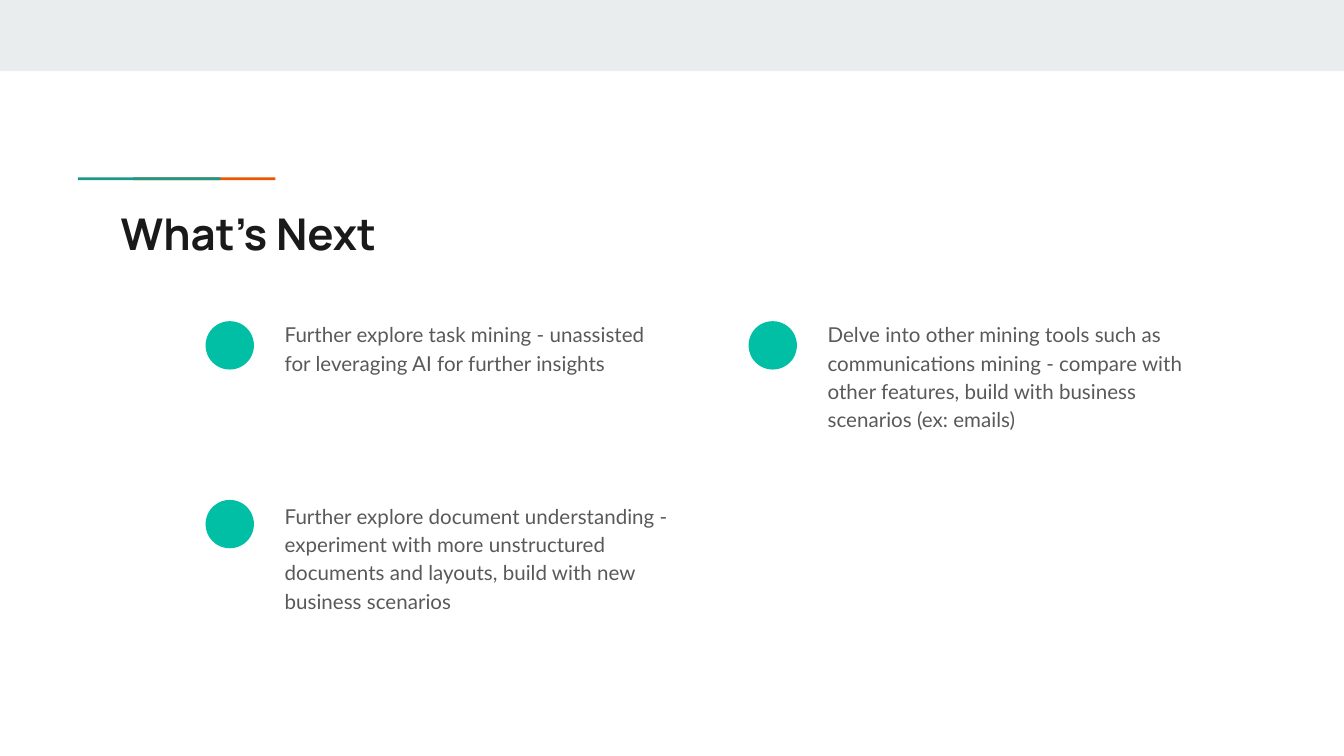
from pptx import Presentation
from pptx.dml.color import RGBColor
from pptx.enum.shapes import MSO_SHAPE as Shape
from pptx.enum.text import MSO_ANCHOR as Anchor
from pptx.util import Inches, Pt

TITLE = "What’s Next"
STEPS = [
    (0, 0, "Further explore task mining - unassisted for leveraging AI for further insights"),
    (0, 1, "Further explore document understanding - experiment with more unstructured "
           "documents and layouts, build with new business scenarios"),
    (1, 0, "Delve into other mining tools such as communications mining - compare with "
           "other features, build with business scenarios (ex: emails)"),
]

BAND = RGBColor(0xE9, 0xED, 0xEE)
ORANGE = RGBColor(0xEB, 0x56, 0x00)
GREEN = RGBColor(0x1A, 0x99, 0x88)
TEAL = RGBColor(0x00, 0xBF, 0xA5)
DARK = RGBColor(0x1A, 0x1A, 0x1A)
GRAY = RGBColor(0x59, 0x59, 0x59)

COLUMN_STEP = 4.04
DOT_LEFT, DOT_TOP, DOT_SIZE, DOT_ROW_STEP = 1.53, 2.39, 0.36, 1.33
TEXT_LEFT, TEXT_TOP, TEXT_ROW_STEP = 2.02, 2.27, 1.35


def add_filled(slide, kind, left, top, width, height, color):
    shape = slide.shapes.add_shape(kind, Inches(left), Inches(top), Inches(width), Inches(height))
    shape.shadow.inherit = False
    shape.fill.solid()
    shape.fill.fore_color.rgb = color
    shape.line.fill.background()


def add_text(slide, left, top, width, height, text, font, size, color, bold=False):
    box = slide.shapes.add_textbox(Inches(left), Inches(top), Inches(width), Inches(height))
    frame = box.text_frame
    frame.word_wrap = True
    frame.vertical_anchor = Anchor.TOP
    frame.margin_left = frame.margin_right = Inches(0.1)
    frame.margin_top = frame.margin_bottom = Inches(0.1)
    paragraph = frame.paragraphs[0]
    run = paragraph.add_run()
    run.text = text
    run.font.name = font
    run.font.size = Pt(size)
    run.font.bold = bold
    run.font.color.rgb = color
    return paragraph


presentation = Presentation()
presentation.slide_width = Inches(10)
presentation.slide_height = Inches(10 * 9 / 16)
slide = presentation.slides.add_slide(presentation.slide_layouts[6])

add_filled(slide, Shape.RECTANGLE, 0, 0, 10, 0.53, BAND)
for left, color in [(0.99, ORANGE), (0.58, GREEN)]:
    add_filled(slide, Shape.RECTANGLE, left, 1.32, 1.06, 0.02, color)

add_text(slide, 0.8, 1.44, 8.41, 0.59, TITLE, "Manrope", 23.4, DARK, bold=True)

for column, row, text in STEPS:
    offset = column * COLUMN_STEP
    add_filled(slide, Shape.OVAL, DOT_LEFT + offset, DOT_TOP + row * DOT_ROW_STEP,
               DOT_SIZE, DOT_SIZE, TEAL)
    paragraph = add_text(slide, TEXT_LEFT + offset, TEXT_TOP + row * TEXT_ROW_STEP,
                         3.1, 1.15, text, "Lato", 11, GRAY)
    paragraph.line_spacing = 1.15
    paragraph.space_after = Pt(12)

presentation.save("out.pptx")
